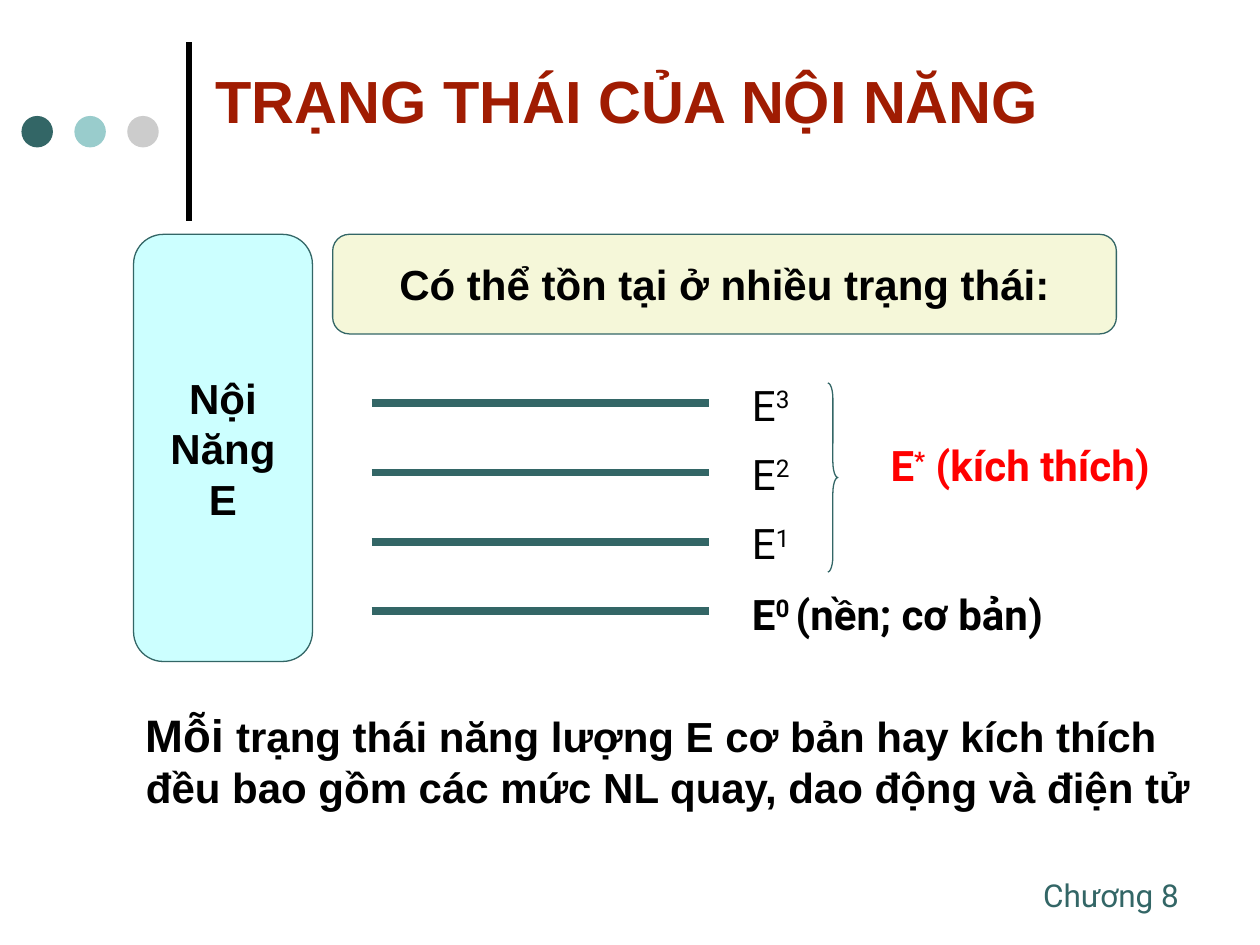
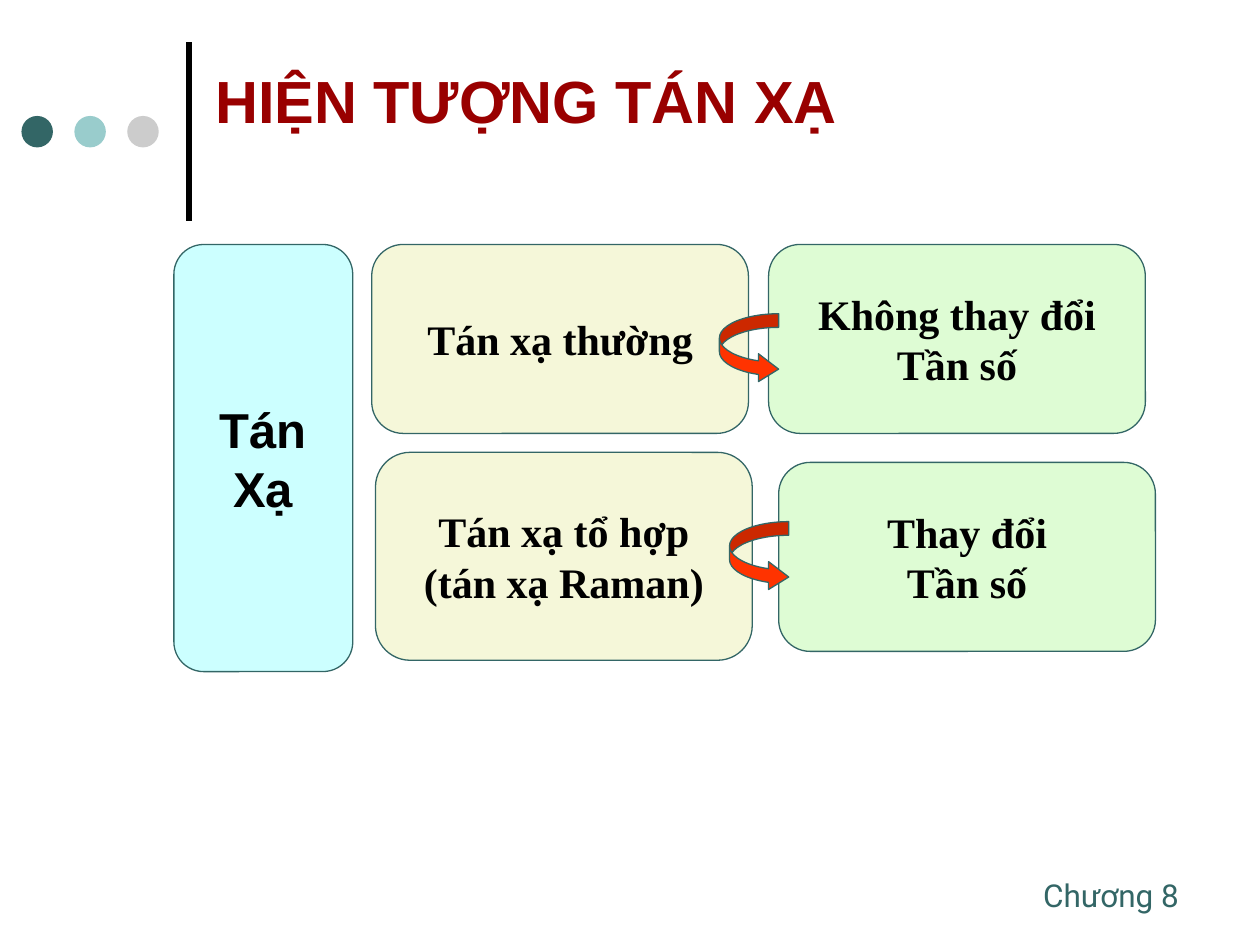
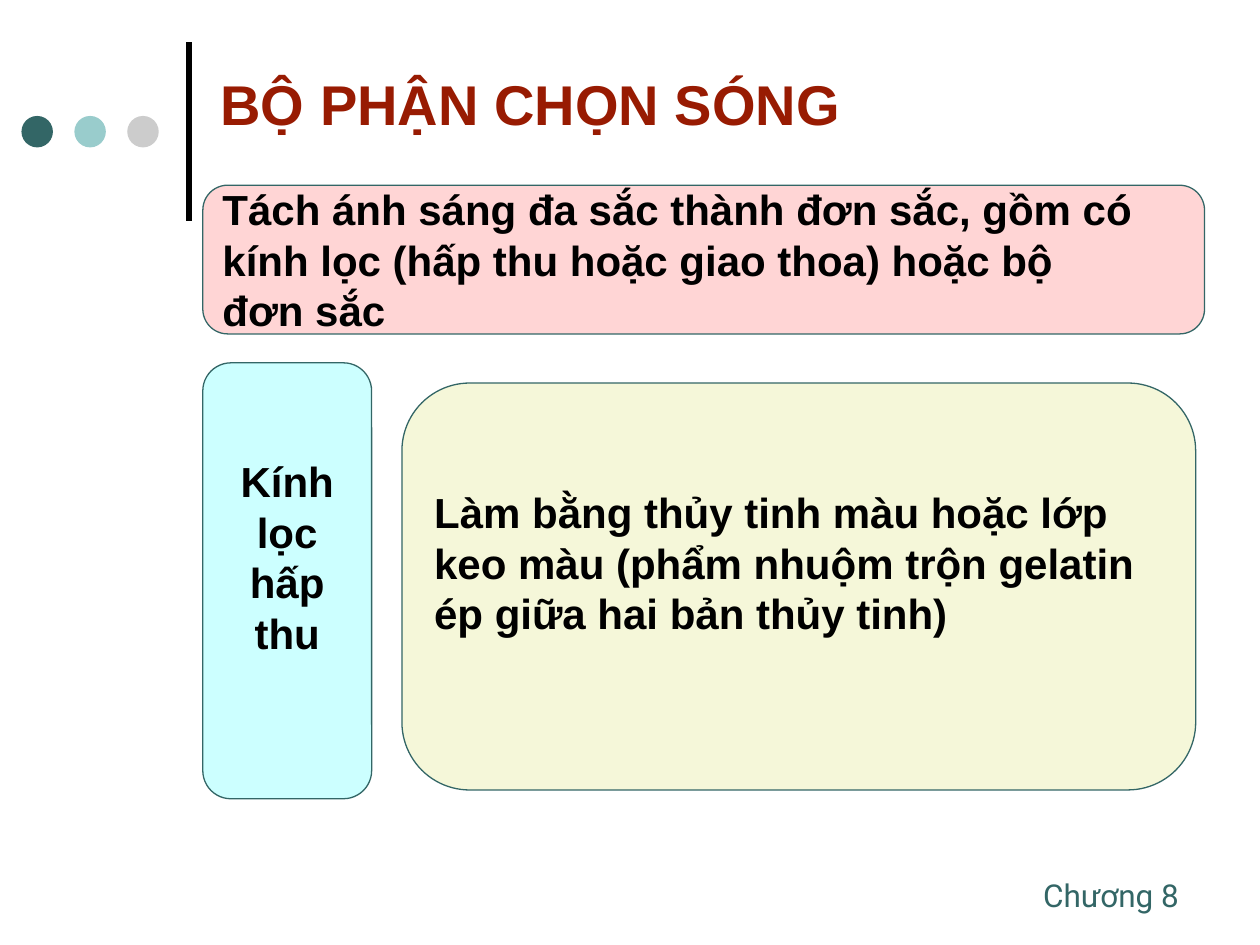
from pptx import Presentation
from pptx.dml.color import RGBColor
from pptx.enum.shapes import MSO_CONNECTOR, MSO_SHAPE
from pptx.enum.text import MSO_ANCHOR, MSO_AUTO_SIZE, PP_ALIGN
from pptx.oxml.ns import qn
from pptx.util import Inches, Pt
from lxml.etree import SubElement

TEAL, BLACK, RED = "336666", "000000", "FF0000"
CYAN, CREAM, GREEN, PINK = "CCFFFF", "F5F7D9", "DEFCD4", "FFD5D5"
ARIAL, ROBOTO, TIMES = "Arial", "Roboto", "Times New Roman"


def style(shape, fill=None, line=None, weight=0.75):
    """Set fill and line, and switch the theme shadow off."""
    if fill:
        shape.fill.solid()
        shape.fill.fore_color.rgb = RGBColor.from_string(fill)
    if line:
        shape.line.color.rgb = RGBColor.from_string(line)
        shape.line.width = Pt(weight)
    else:
        shape.line.fill.background()
    SubElement(shape._element.spPr, qn("a:effectLst"))


def write(shape, lines, size, font, color=BLACK, bold=True, align=PP_ALIGN.LEFT):
    """Write one paragraph per line; a bar separates runs."""
    frame = shape.text_frame
    frame.word_wrap = True
    frame.auto_size = MSO_AUTO_SIZE.NONE
    for number, line in enumerate(lines):
        paragraph = frame.paragraphs[0] if number == 0 else frame.add_paragraph()
        paragraph.alignment = align
        for words in line.split("|"):
            run = paragraph.add_run()
            run.text = words
            run.font.size = Pt(size)
            run.font.name = font
            run.font.bold = bold
            run.font.color.rgb = RGBColor.from_string(color)
    return frame


prs = Presentation()
prs.slide_width, prs.slide_height = Inches(10), Inches(7.5)

# Title, dots, bar and footer of every slide
titles = [
    ("TRẠNG THÁI CỦA NỘI NĂNG", 1.61, 0.36, 7.48, 0.86, 34, "A01C02"),
    ("HIỆN TƯỢNG TÁN XẠ", 1.61, 0.28, 8.39, 1.02, 34, "990000"),
    ("BỘ PHẬN CHỌN SÓNG", 1.65, 0.36, 7.05, 0.91, 32, "981B02"),
]
for heading, left, top, width, height, size, color in titles:
    slide = prs.slides.add_slide(prs.slide_layouts[5])
    bar = slide.shapes.add_connector(
        MSO_CONNECTOR.STRAIGHT, Inches(1.5), Inches(1.75), Inches(1.5), Inches(0.33))
    style(bar, line=BLACK, weight=3)
    for column, dot_color in enumerate([TEAL, "99CCCC", "CCCCCC"]):
        dot = slide.shapes.add_shape(
            MSO_SHAPE.OVAL, Inches(0.17 + 0.42 * column), Inches(0.92),
            Inches(0.25), Inches(0.25))
        style(dot, dot_color)
    chapter = slide.shapes.add_textbox(
        Inches(8.18), Inches(6.9), Inches(1.35), Inches(0.4))
    write(chapter, ["Chương 8"], 18, ROBOTO, TEAL, bold=False)
    title = slide.shapes.title
    title.left, title.top = Inches(left), Inches(top)
    title.width, title.height = Inches(width), Inches(height)
    write(title, [heading], size, ARIAL, color)
    title.text_frame.vertical_anchor = MSO_ANCHOR.MIDDLE

energy, scattering, selector = prs.slides

# Rounded cards: slide, left, top, width, height, fill, lines, size, font,
# alignment, bottom inset
CENTER, LEFT = PP_ALIGN.CENTER, PP_ALIGN.LEFT
cards = [
    (energy, 1.06, 1.86, 1.42, 3.39, CYAN, ["Nội", "Năng", "E"],
     24, ARIAL, CENTER, 0.05),
    (energy, 2.64, 1.86, 6.22, 0.79, CREAM, ["Có thể tồn tại ở nhiều trạng thái:"],
     24, ARIAL, CENTER, 0.05),
    (scattering, 1.38, 1.94, 1.42, 3.39, CYAN, ["Tán", "Xạ"],
     28, ARIAL, CENTER, 0.05),
    (scattering, 2.95, 1.94, 2.99, 1.5, CREAM, ["Tán xạ thường"],
     24, TIMES, CENTER, 0.05),
    (scattering, 2.98, 3.59, 2.99, 1.65, CREAM, ["Tán xạ tổ hợp", "(tán xạ Raman)"],
     24, TIMES, CENTER, 0.05),
    (scattering, 6.1, 1.94, 2.99, 1.5, GREEN, ["Không thay đổi", "Tần số"],
     24, TIMES, CENTER, 0.05),
    (scattering, 6.18, 3.67, 2.99, 1.5, GREEN, ["Thay đổi", "Tần số"],
     24, TIMES, CENTER, 0.05),
    (selector, 1.61, 2.88, 1.34, 3.46, CYAN, ["Kính", "lọc", "hấp", "thu"],
     24, ARIAL, CENTER, 0.43),
    (selector, 1.61, 1.47, 7.95, 1.18, PINK,
     ["Tách ánh sáng đa sắc thành đơn sắc, gồm có",
      "kính lọc (hấp thu hoặc giao thoa) hoặc bộ", "đơn sắc"],
     24, ARIAL, LEFT, 0.05),
    (selector, 3.19, 3.04, 6.3, 3.23, CREAM,
     ["Làm bằng thủy tinh màu hoặc lớp", "keo màu (phẩm nhuộm trộn gelatin",
      "ép giữa hai bản thủy tinh)"],
     24, ARIAL, LEFT, 0.43),
]
for slide, left, top, width, height, fill, lines, size, font, align, inset in cards:
    card = slide.shapes.add_shape(
        MSO_SHAPE.ROUNDED_RECTANGLE, Inches(left), Inches(top),
        Inches(width), Inches(height))
    style(card, fill, TEAL)
    frame = write(card, lines, size, font, align=align)
    frame.vertical_anchor = MSO_ANCHOR.MIDDLE
    frame.margin_bottom = Inches(inset)

# Slide 1: energy levels
for row in range(4):
    y = Inches(3.2 + 0.55 * row)
    level = energy.shapes.add_connector(
        MSO_CONNECTOR.STRAIGHT, Inches(2.95), y, Inches(5.63), y)
    style(level, line=TEAL, weight=4.5)

# Slide 1: level names with superscripts
names = [
    ("E|3", 5.87, 2.96, 1.1, BLACK, False),
    ("E|2", 5.87, 3.51, 1.1, BLACK, False),
    ("E|1", 5.87, 4.06, 1.1, BLACK, False),
    ("E|0 |(nền; cơ bản)", 5.87, 4.62, 3.07, BLACK, True),
    ("E|*| (kích thích)", 6.97, 3.44, 2.68, RED, True),
]
for name, left, top, width, color, bold in names:
    label = energy.shapes.add_textbox(
        Inches(left), Inches(top), Inches(width), Inches(0.5))
    frame = write(label, [name], 24, ROBOTO, color, bold)
    superscript = frame.paragraphs[0].runs[1]
    superscript._r.get_or_add_rPr().set("baseline", "30000")

# Slide 1: brace over the excited levels, and the conclusion
brace = energy.shapes.add_shape(
    MSO_SHAPE.RIGHT_BRACE, Inches(6.57), Inches(3.04), Inches(0.08), Inches(1.5))
brace.adjustments[0] = 1.56
brace.fill.background()
style(brace, line=TEAL)

conclusion = energy.shapes.add_textbox(
    Inches(1.06), Inches(5.56), Inches(8.58), Inches(0.94))
frame = write(conclusion, [
    "Mỗi| trạng thái năng lượng E cơ bản hay kích thích "
    "đều bao gồm các mức NL quay, dao động và điện tử"], 24, ARIAL)
frame.paragraphs[0].runs[0].font.size = Pt(26)

# Slide 2: curved arrows from each kind to its effect
for left, top in [(5.71, 2.49), (5.79, 4.14)]:
    arrow = scattering.shapes.add_shape(
        MSO_SHAPE.CURVED_RIGHT_ARROW, Inches(left), Inches(top),
        Inches(0.47), Inches(0.55))
    for index, value in enumerate([0.23, 0.47, 0.34]):
        arrow.adjustments[index] = value
    style(arrow, "FF3300", TEAL)

prs.save("out.pptx")
